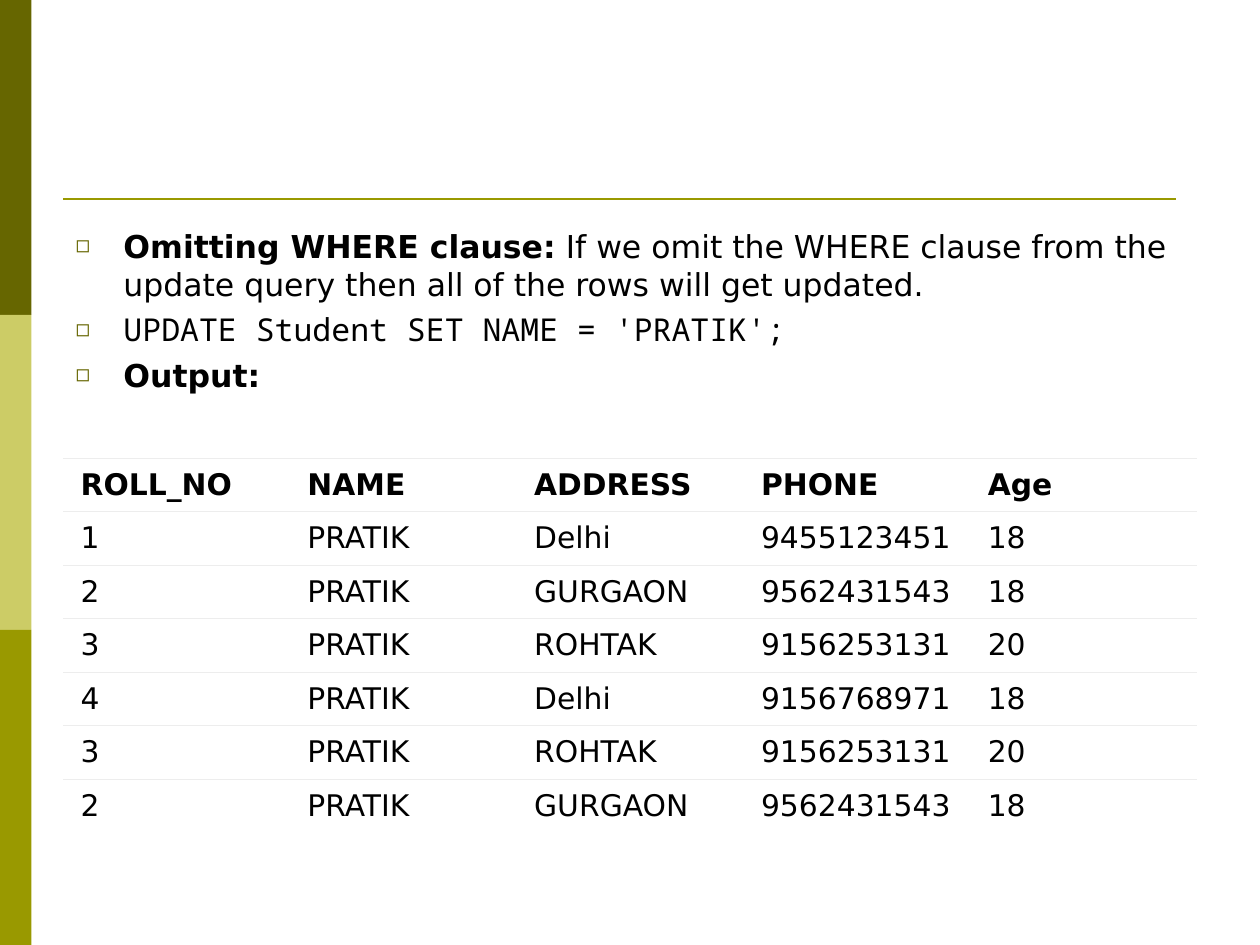
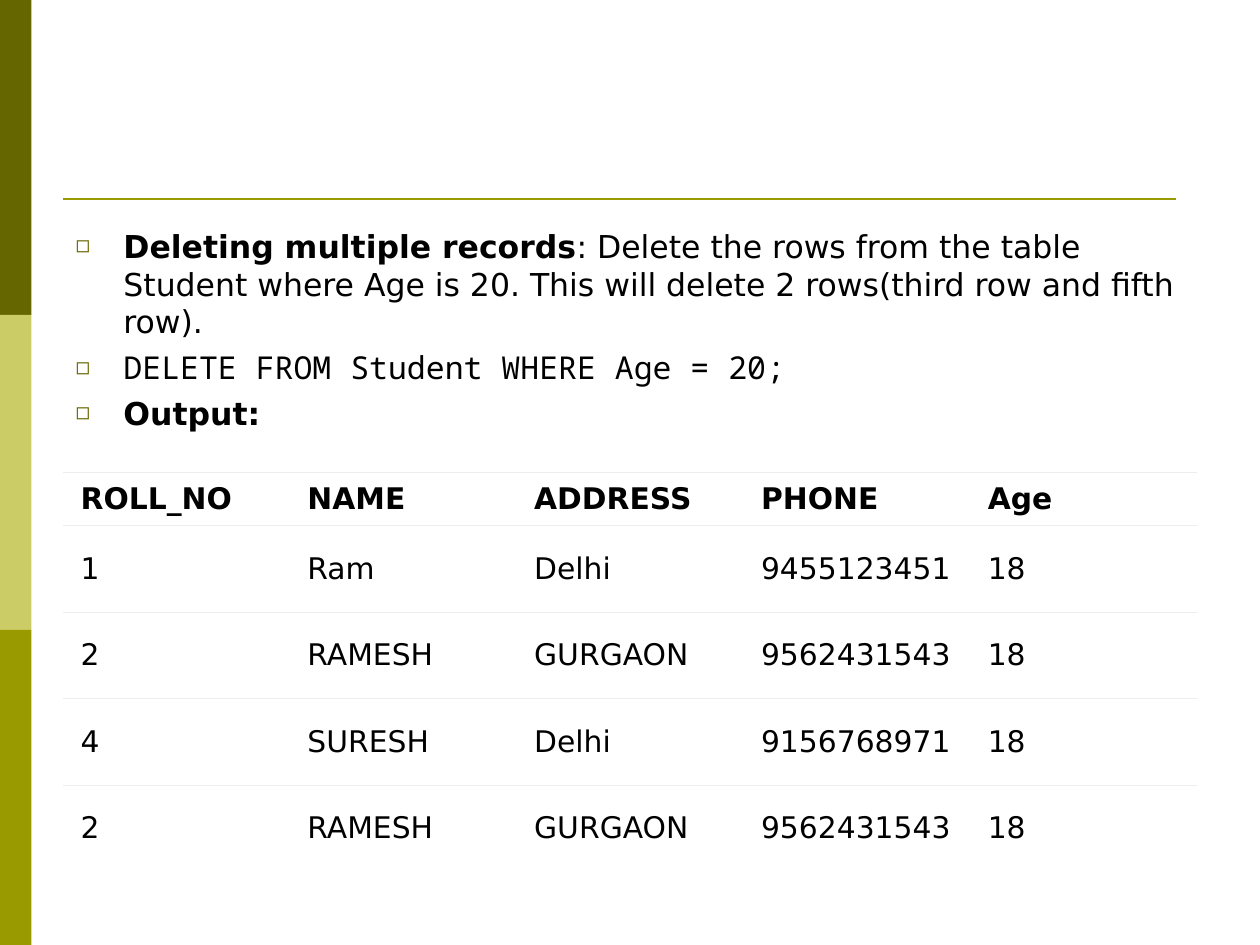
from dataclasses import dataclass

from lxml.etree import SubElement
from pptx import Presentation
from pptx.dml.color import RGBColor as Rgb
from pptx.enum.shapes import MSO_CONNECTOR as Connector, MSO_SHAPE as Shape
from pptx.enum.text import MSO_ANCHOR as Anchor, MSO_AUTO_SIZE as AutoSize
from pptx.oxml.ns import qn
from pptx.util import Emu, Inches, Pt


@dataclass(frozen=True)
class Theme:
    text: str = "000000"
    paper: str = "FFFFFF"
    rule: str = "999900"
    bullet: str = "666600"
    cell_border: str = "EDEDED"
    bands: tuple = ("666600", "CCCC66", "999900")
    sans: str = "DejaVu Sans"
    mono: str = "Noto Sans Mono"
    body_size: float = 18
    table_size: float = 17
    rule_width: float = 1.5
    border_width: float = 0.34
    bullet_gap: float = 4.5


THEME = Theme()
HEADINGS = ("ROLL_NO", "NAME", "ADDRESS", "PHONE", "Age")

SLIDES = [
    {
        "topic": "Omitting WHERE clause:",
        "explanation": " If we omit the WHERE clause from the update query "
                       "then all of the rows will get updated.",
        "query": "UPDATE Student SET NAME = 'PRATIK';",
        "students": [
            ("1", "PRATIK", "Delhi", "9455123451", "18"),
            ("2", "PRATIK", "GURGAON", "9562431543", "18"),
            ("3", "PRATIK", "ROHTAK", "9156253131", "20"),
            ("4", "PRATIK", "Delhi", "9156768971", "18"),
            ("3", "PRATIK", "ROHTAK", "9156253131", "20"),
            ("2", "PRATIK", "GURGAON", "9562431543", "18"),
        ],
        "table_top": 3.64,
        "table_height": 2.97,
    },
    {
        "topic": "Deleting multiple records",
        "explanation": ": Delete the rows from the table Student where Age is 20. "
                       "This will delete 2 rows(third row and fifth row).",
        "query": "DELETE FROM Student WHERE Age = 20;",
        "students": [
            ("1", "Ram", "Delhi", "9455123451", "18"),
            ("2", "RAMESH", "GURGAON", "9562431543", "18"),
            ("4", "SURESH", "Delhi", "9156768971", "18"),
            ("2", "RAMESH", "GURGAON", "9562431543", "18"),
        ],
        "table_top": 3.75,
        "table_height": 3.17,
    },
]

SLIDE_WIDTH, SLIDE_HEIGHT = Inches(10), Inches(7.5)
CONTENT_LEFT, CONTENT_WIDTH = Inches(0.5), Inches(9)
BODY_TOP, BODY_HEIGHT = Inches(1.75), Inches(4.95)
BAND_WIDTH = Inches(0.25)
RULE_TOP, RULE_RIGHT = Inches(1.58), Inches(9.33)
HEADER_HEIGHT = Inches(0.42)
BULLET_INDENT = Inches(0.38)
CELL_FORMAT = {
    "margin_left": Inches(0.14),
    "margin_right": Inches(0.14),
    "margin_top": Inches(0.05),
    "margin_bottom": Inches(0.05),
    "vertical_anchor": Anchor.MIDDLE,
}


def set_all(target, values):
    for name, value in values.items():
        setattr(target, name, value)


def add_run(paragraph, text, size, bold=False, face=THEME.sans):
    run = paragraph.add_run()
    run.text = text
    set_all(run.font, {"name": face, "size": Pt(size), "bold": bold})
    run.font.color.rgb = Rgb.from_string(THEME.text)


def add_color(parent, color):
    SubElement(parent, qn("a:srgbClr"), val=color)


def draw_frame(slide):
    """Draw the side bands and the rule below the title area."""
    band_height = SLIDE_HEIGHT // len(THEME.bands)
    for index, color in enumerate(THEME.bands):
        band = slide.shapes.add_shape(
            Shape.RECTANGLE, 0, index * band_height, BAND_WIDTH, band_height)
        band.shadow.inherit = False
        band.fill.solid()
        band.fill.fore_color.rgb = Rgb.from_string(color)
        band.line.fill.background()
    rule = slide.shapes.add_connector(
        Connector.STRAIGHT, CONTENT_LEFT, RULE_TOP, RULE_RIGHT, RULE_TOP)
    rule.line.color.rgb = Rgb.from_string(THEME.rule)
    rule.line.width = Pt(THEME.rule_width)
    SubElement(rule._element.spPr, qn("a:effectLst"))


def set_bullet(paragraph):
    properties = paragraph._p.get_or_add_pPr()
    properties.set("marL", str(BULLET_INDENT))
    properties.set("indent", str(-BULLET_INDENT))
    add_color(SubElement(properties, qn("a:buClr")), THEME.bullet)
    SubElement(properties, qn("a:buSzPct"), val="75000")
    SubElement(properties, qn("a:buChar"), char="◻")


def fill_body(body, content):
    set_all(body, {"left": CONTENT_LEFT, "top": BODY_TOP,
                   "width": CONTENT_WIDTH, "height": BODY_HEIGHT})
    frame = body.text_frame
    set_all(frame, {"word_wrap": True, "auto_size": AutoSize.NONE,
                    "vertical_anchor": Anchor.TOP})
    points = [
        [(content["topic"], {"bold": True}), (content["explanation"], {})],
        [(content["query"], {"face": THEME.mono})],
        [("Output:", {"bold": True})],
    ]
    for index, pieces in enumerate(points):
        paragraph = frame.add_paragraph() if index else frame.paragraphs[0]
        set_bullet(paragraph)
        paragraph.space_before = Pt(THEME.bullet_gap if index else 0)
        for text, style in pieces:
            add_run(paragraph, text, THEME.body_size, **style)


def set_borders(cell, visible_sides):
    properties = cell._tc.get_or_add_tcPr()
    for side in "LRTB":
        border = SubElement(properties, qn(f"a:ln{side}"),
                            w=str(Pt(THEME.border_width)))
        if side in visible_sides:
            add_color(SubElement(border, qn("a:solidFill")), THEME.cell_border)
        else:
            SubElement(border, qn("a:noFill"))


def add_students(slide, content):
    records = [HEADINGS, *content["students"]]
    height = Inches(content["table_height"])
    table = slide.shapes.add_table(
        len(records), len(HEADINGS), CONTENT_LEFT, Inches(content["table_top"]),
        CONTENT_WIDTH, height).table
    student_height = Emu((height - HEADER_HEIGHT) // len(content["students"]))
    for row_index, record in enumerate(records):
        is_header = row_index == 0
        is_last = row_index == len(records) - 1
        table.rows[row_index].height = HEADER_HEIGHT if is_header else student_height
        for column_index, value in enumerate(record):
            cell = table.cell(row_index, column_index)
            set_all(cell, CELL_FORMAT)
            set_borders(cell, "T" if is_last else "TB")
            cell.fill.solid()
            cell.fill.fore_color.rgb = Rgb.from_string(THEME.paper)
            add_run(cell.text_frame.paragraphs[0], value,
                    THEME.table_size, bold=is_header)


def main():
    deck = Presentation()
    set_all(deck, {"slide_width": SLIDE_WIDTH, "slide_height": SLIDE_HEIGHT})
    for content in SLIDES:
        slide = deck.slides.add_slide(deck.slide_layouts[1])
        empty_title = slide.shapes.title._element
        empty_title.getparent().remove(empty_title)
        draw_frame(slide)
        fill_body(slide.placeholders[1], content)
        add_students(slide, content)
    deck.save("out.pptx")


if __name__ == "__main__":
    main()
